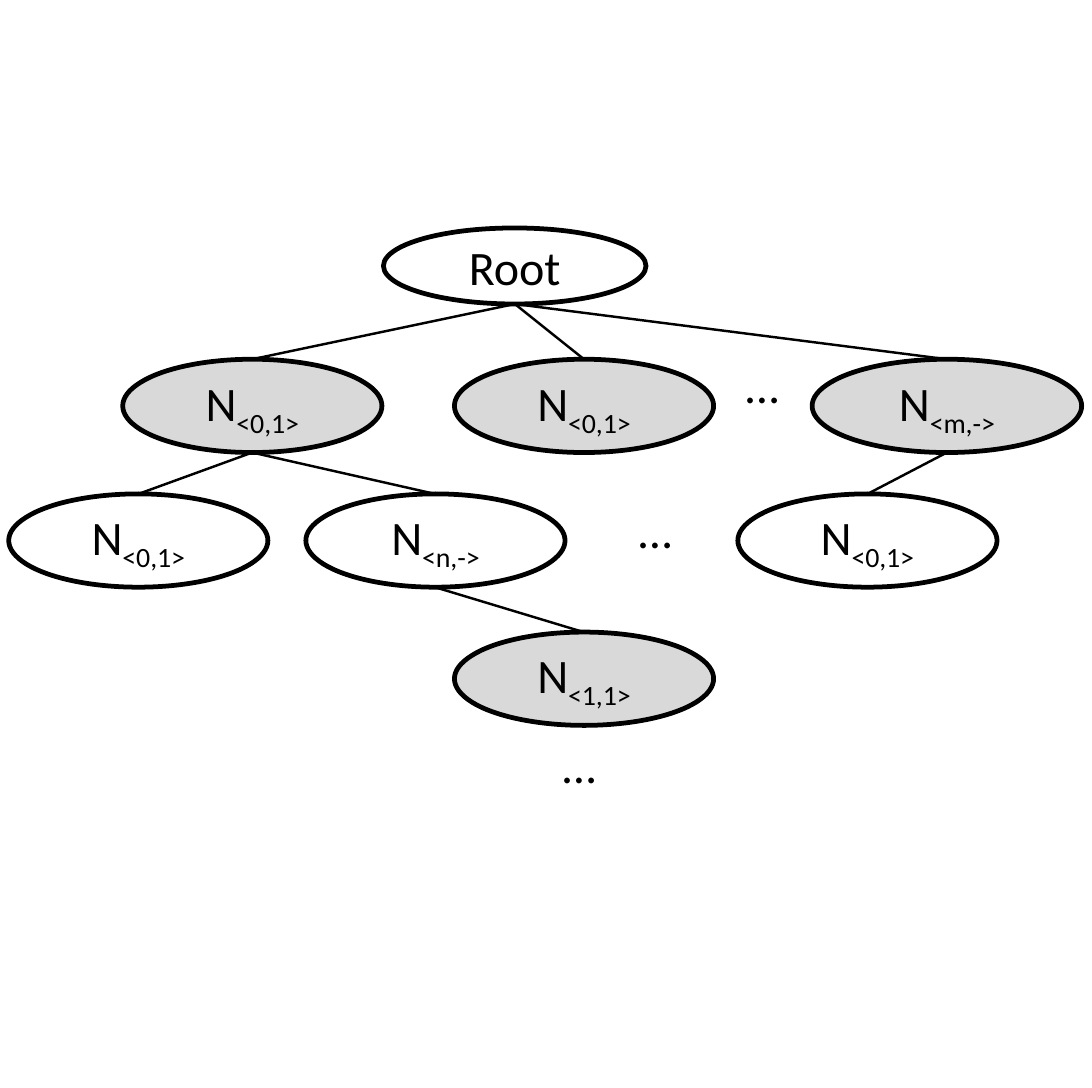
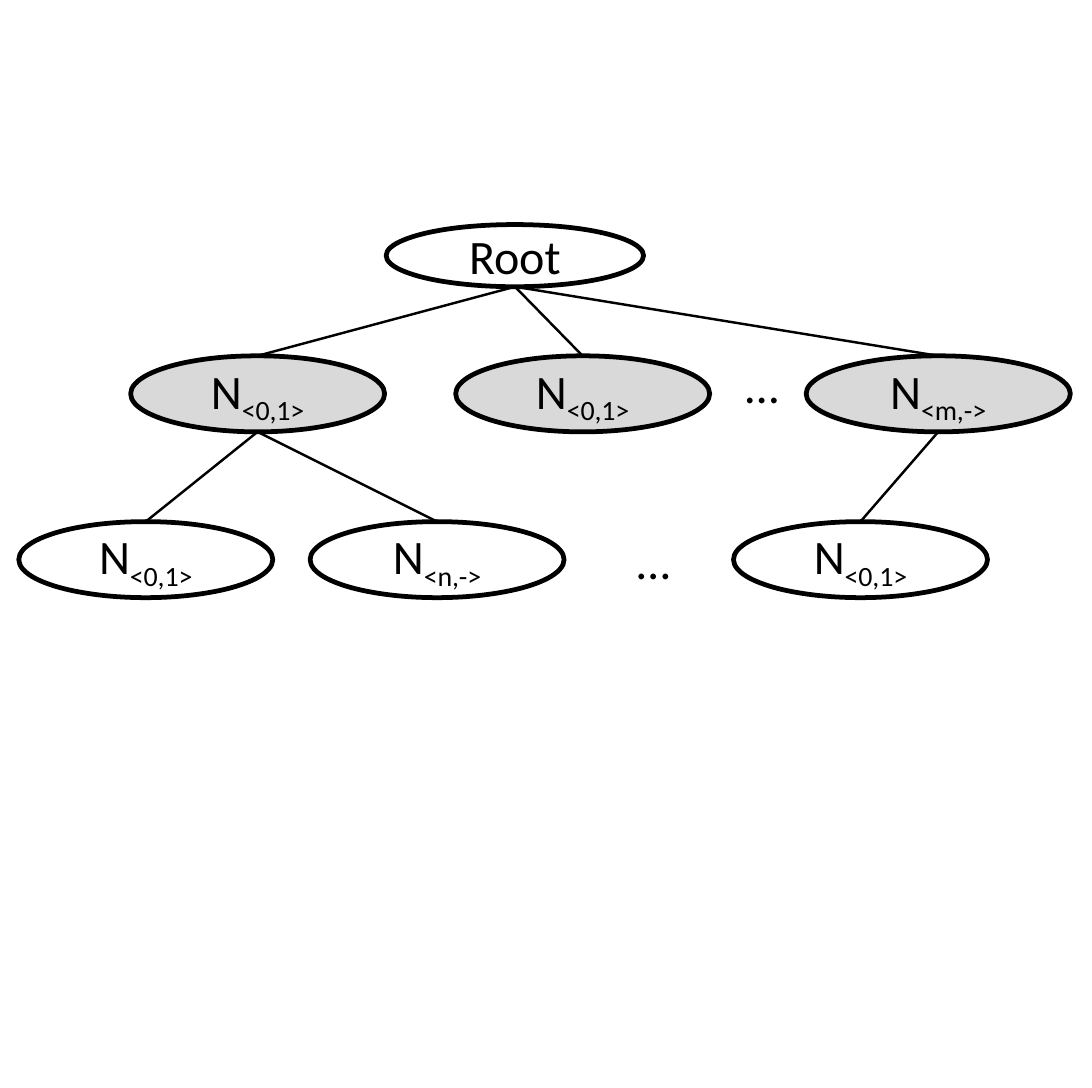
from lxml.etree import SubElement
from pptx import Presentation
from pptx.dml.color import RGBColor as RGB
from pptx.enum.shapes import MSO_CONNECTOR as LINE, MSO_SHAPE as SHAPE
from pptx.enum.text import MSO_ANCHOR as ANCHOR, MSO_AUTO_SIZE as AUTO, PP_ALIGN as ALIGN
from pptx.oxml.ns import qn
from pptx.util import Inches, Pt

# Shared style
BLACK, WHITE, GREY = RGB(0, 0, 0), RGB(255, 255, 255), RGB(217, 217, 217)
FONT, SIZE = "Calibri", 10
WIDE, HIGH = Pt(227.5), Pt(226.75)
DOTS = (0.3, 0.27)

# Column centres and node widths, in inches at full scale
COLS = {"root": 1.49, "a": 0.73, "b": 1.69, "m": 2.74,
        "a1": 0.4, "an": 1.26, "m1": 2.51, "leaf": 1.69}
WIDTHS = {"root": 0.76, "m": 0.78}
NODE = 0.75

# Levels of the tree: (name, parent, index below the letter N)
LEVELS = [
    [("root", None, None)],
    [("a", "root", "<0,1>"), ("b", "root", "<0,1>"), ("m", "root", "<m,->")],
    [("a1", "a", "<0,1>"), ("an", "a", "<n,->"), ("m1", "m", "<0,1>")],
    [("leaf", "an", "<1,1>")],
]

# Per slide: scale and shift across, (top, height) of each level,
# and (left, top) of each ellipsis
TREES = [
    {"scale": 1, "shift": 0,
     "rows": [(0.66, 0.22), (1.04, 0.27), (1.43, 0.27), (1.83, 0.27)],
     "dots": [(2.06, 0.98), (1.75, 1.4), (1.53, 2.08)]},
    {"scale": 0.98, "shift": 0.03,
     "rows": [(0.65, 0.18), (1.03, 0.22), (1.51, 0.22)],
     "dots": [(2.07, 0.98), (1.75, 1.49)]},
]


def write(frame, text, sub=None, align=ALIGN.LEFT, anchor=ANCHOR.TOP, wrap=True):
    """Put text, with an optional subscript, into a text frame."""
    frame.word_wrap = wrap
    frame.vertical_anchor = anchor
    para = frame.paragraphs[0]
    para.alignment = align
    for part in filter(None, (text, sub)):
        run = para.add_run()
        run.text = part
        run.font.name, run.font.size = FONT, Pt(SIZE)
        run.font.color.rgb = BLACK
        if part == sub:
            run.font._element.set("baseline", "-25000")


def ink(line, width):
    line.color.rgb = BLACK
    line.width = Pt(width)


def add_node(slide, box, fill, text, sub):
    node = slide.shapes.add_shape(SHAPE.OVAL, *map(Inches, box))
    node.shadow.inherit = False
    node.fill.solid()
    node.fill.fore_color.rgb = fill
    ink(node.line, 1)
    write(node.text_frame, text, sub, align=ALIGN.CENTER, anchor=ANCHOR.MIDDLE)
    return node


def add_edge(slide, top, low):
    """Join the bottom of one node to the top of another."""
    edge = slide.shapes.add_connector(
        LINE.STRAIGHT, top.left + top.width // 2, top.top + top.height,
        low.left + low.width // 2, low.top)
    ink(edge.line, 0.5)
    SubElement(edge._element.spPr, qn("a:effectLst"))


def add_dots(slide, left, top):
    box = slide.shapes.add_textbox(*map(Inches, (left, top, *DOTS)))
    write(box.text_frame, "…", wrap=False)
    box.text_frame.auto_size = AUTO.SHAPE_TO_FIT_TEXT


def draw_tree(slide, tree):
    scale, shift = tree["scale"], tree["shift"]
    nodes = {}
    # Nodes, grey on every second level, each joined to its parent
    for depth, ((top, high), level) in enumerate(zip(tree["rows"], LEVELS)):
        for name, parent, sub in level:
            wide = WIDTHS.get(name, NODE) * scale
            left = COLS[name] * scale + shift - wide / 2
            nodes[name] = add_node(slide, (left, top, wide, high),
                                   GREY if depth % 2 else WHITE,
                                   "N" if parent else "Root", sub)
            if parent:
                add_edge(slide, nodes[parent], nodes[name])
    # Ellipses for what is left out
    for left, top in tree["dots"]:
        add_dots(slide, left * scale + shift, top)


def main():
    deck = Presentation()
    deck.slide_width, deck.slide_height = WIDE, HIGH
    # The template's 4:3 label does not fit this size
    deck.element.find(qn("p:sldSz")).attrib.pop("type", None)
    blank = deck.slide_layouts[6]
    for tree in TREES:
        draw_tree(deck.slides.add_slide(blank), tree)
    deck.save("out.pptx")


if __name__ == "__main__":
    main()
